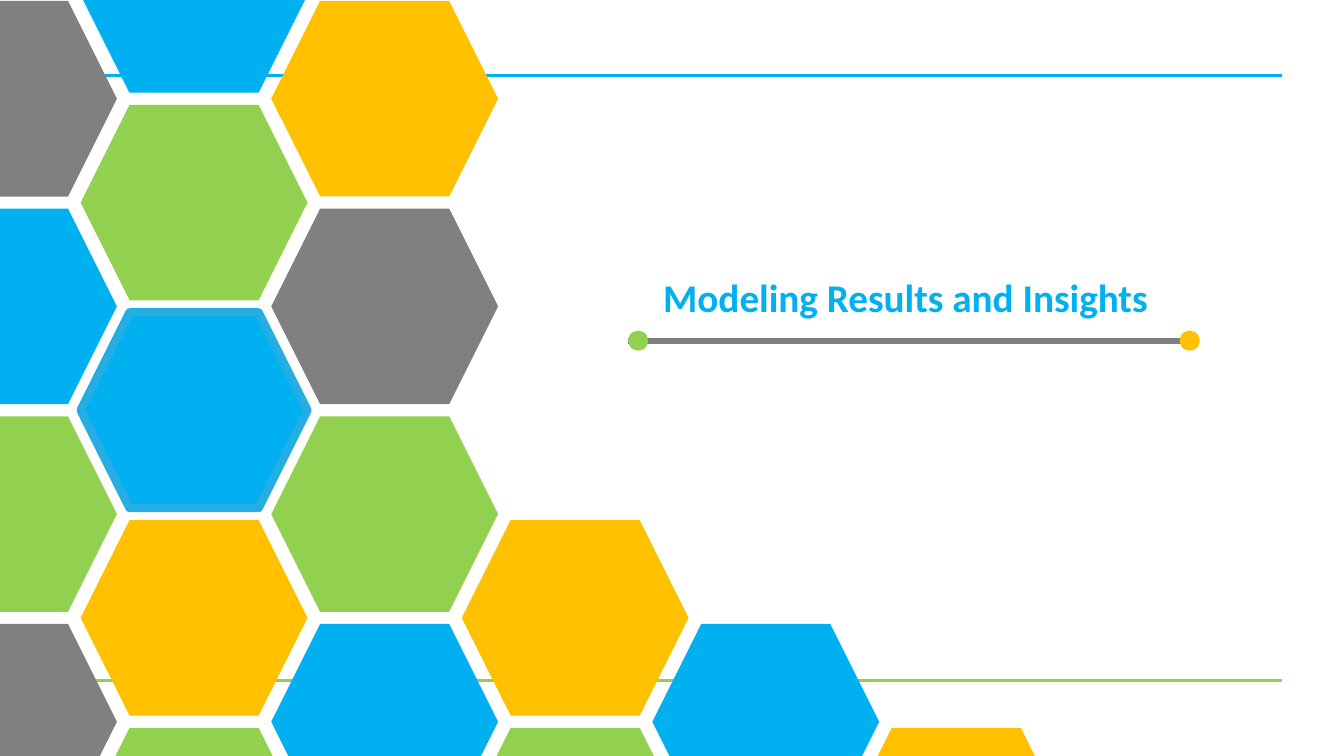
import dataclasses

import lxml.etree
import pptx
import pptx.dml.color
import pptx.enum.shapes
import pptx.enum.text
import pptx.oxml.ns
import pptx.util


@dataclasses.dataclass(frozen=True)
class Theme:
    blue: str = "00B0F0"
    green: str = "92D050"
    amber: str = "FFC000"
    gray: str = "808080"
    outline: str = "24AEE4"
    font: str = "Calibri"
    title_size: float = 28
    rule_width: float = 2.25
    underline_width: float = 4.5
    outline_width: float = 6


@dataclasses.dataclass(frozen=True)
class Box:
    left: float
    top: float
    width: float
    height: float

    @property
    def right(self):
        return self.left + self.width

    @property
    def bottom(self):
        return self.top + self.height

    def emu(self):
        return [pptx.util.Inches(value) for value in (self.left, self.top, self.width, self.height)]


THEME = Theme()
PAGE = Box(0, 0, 13.33, 7.5)
HEXAGON_WIDTH, HEXAGON_HEIGHT = 2.25, 1.94
COLUMN_STEP, HALF_ROW_STEP = 1.89, 1.03
FIRST_LEFT, FIRST_TOP = -1.09, 0.01
HIGHLIGHTED_CELL = (1, 3)
HONEYCOMB = {
    0: {0: THEME.gray, 2: THEME.blue, 4: THEME.green, 6: THEME.gray},
    1: {-1: THEME.blue, 1: THEME.green, 3: THEME.blue, 5: THEME.amber, 7: THEME.green},
    2: {0: THEME.amber, 2: THEME.gray, 4: THEME.green, 6: THEME.blue},
    3: {5: THEME.amber, 7: THEME.green},
    4: {6: THEME.blue},
    5: {7: THEME.amber},
}


def rgb(color):
    return pptx.dml.color.RGBColor.from_string(color)


def paint(shape, color):
    shape.shadow.inherit = False
    shape.fill.solid()
    shape.fill.fore_color.rgb = rgb(color)
    shape.line.fill.background()


def add_preset(slide, kind, box, color):
    shape = slide.shapes.add_shape(kind, *box.emu())
    paint(shape, color)
    return shape


def add_rule(slide, left, right, y, color, width):
    connector = slide.shapes.add_connector(
        pptx.enum.shapes.MSO_CONNECTOR.STRAIGHT,
        *[pptx.util.Inches(value) for value in (left, y, right, y)])
    connector.line.color.rgb = rgb(color)
    connector.line.width = pptx.util.Pt(width)
    properties = connector.element.find(pptx.oxml.ns.qn("p:spPr"))
    lxml.etree.SubElement(properties, pptx.oxml.ns.qn("a:effectLst"))


def clip(points, axis, limit, sign):
    kept = []
    for start, end in zip(points, points[1:] + points[:1]):
        start_gap = sign * (start[axis] - limit)
        end_gap = sign * (end[axis] - limit)
        if start_gap >= 0:
            kept.append(start)
        if start_gap * end_gap < 0:
            share = start_gap / (start_gap - end_gap)
            kept.append(tuple(a + share * (b - a) for a, b in zip(start, end)))
    return kept


def add_cut_hexagon(slide, cell, box, color):
    inset = cell.height / 4
    middle = cell.top + cell.height / 2
    points = [
        (cell.left + inset, cell.top), (cell.right - inset, cell.top),
        (cell.right, middle), (cell.right - inset, cell.bottom),
        (cell.left + inset, cell.bottom), (cell.left, middle),
    ]
    for axis, limit, sign in ((0, box.left, 1), (1, box.top, 1), (1, box.bottom, -1)):
        points = clip(points, axis, limit, sign)
    corners = [(pptx.util.Inches(x), pptx.util.Inches(y)) for x, y in points]
    builder = slide.shapes.build_freeform(*corners[0])
    builder.add_line_segments(corners[1:], close=True)
    paint(builder.convert_to_shape(), color)


def add_honeycomb(slide, box):
    for column, cells in HONEYCOMB.items():
        for half_row, color in cells.items():
            cell = Box(
                box.left + FIRST_LEFT + column * COLUMN_STEP,
                box.top + FIRST_TOP + half_row * HALF_ROW_STEP,
                HEXAGON_WIDTH, HEXAGON_HEIGHT)
            if cell.left < box.left or cell.top < box.top or cell.bottom > box.bottom:
                add_cut_hexagon(slide, cell, box, color)
                continue
            hexagon = add_preset(slide, pptx.enum.shapes.MSO_SHAPE.HEXAGON, cell, color)
            if (column, half_row) == HIGHLIGHTED_CELL:
                hexagon.line.color.rgb = rgb(THEME.outline)
                hexagon.line.width = pptx.util.Pt(THEME.outline_width)


def add_frame_rules(slide, box):
    left, right = box.left + 0.62, box.right - 0.61
    for share, color in ((0.9, THEME.green), (0.1, THEME.blue)):
        add_rule(slide, left, right, box.top + share * box.height, color, THEME.rule_width)


def fill_title(slide, box):
    title = slide.shapes.title
    title.left, title.top, title.width, title.height = box.emu()
    frame = title.text_frame
    frame.text = "Modeling Results and Insights"
    frame.word_wrap = False
    frame.auto_size = pptx.enum.text.MSO_AUTO_SIZE.NONE
    frame.vertical_anchor = pptx.enum.text.MSO_ANCHOR.TOP
    frame.margin_left = frame.margin_top = frame.margin_right = 0
    frame.margin_bottom = pptx.util.Inches(0.1)
    paragraph = frame.paragraphs[0]
    paragraph.alignment = pptx.enum.text.PP_ALIGN.CENTER
    font = paragraph.runs[0].font
    font.name = THEME.font
    font.size = pptx.util.Pt(THEME.title_size)
    font.bold = True
    font.color.rgb = rgb(THEME.blue)


def add_title_underline(slide, box):
    dot = box.height
    middle = box.top + dot / 2
    add_rule(slide, box.left, box.right - dot / 4, middle, THEME.gray, THEME.underline_width)
    for left, color in ((box.left, THEME.green), (box.right - dot, THEME.amber)):
        add_preset(slide, pptx.enum.shapes.MSO_SHAPE.OVAL, Box(left, box.top, dot, dot), color)


def main():
    presentation = pptx.Presentation()
    presentation.slide_width = pptx.util.Inches(PAGE.width)
    presentation.slide_height = pptx.util.Inches(PAGE.height)
    slide = presentation.slides.add_slide(presentation.slide_layouts.get_by_name("Title Only"))
    add_frame_rules(slide, PAGE)
    fill_title(slide, Box(6.55, 2.71, 4.86, 0.57))
    add_honeycomb(slide, PAGE)
    add_title_underline(slide, Box(6.23, 3.28, 5.67, 0.2))
    presentation.save("out.pptx")


if __name__ == "__main__":
    main()
